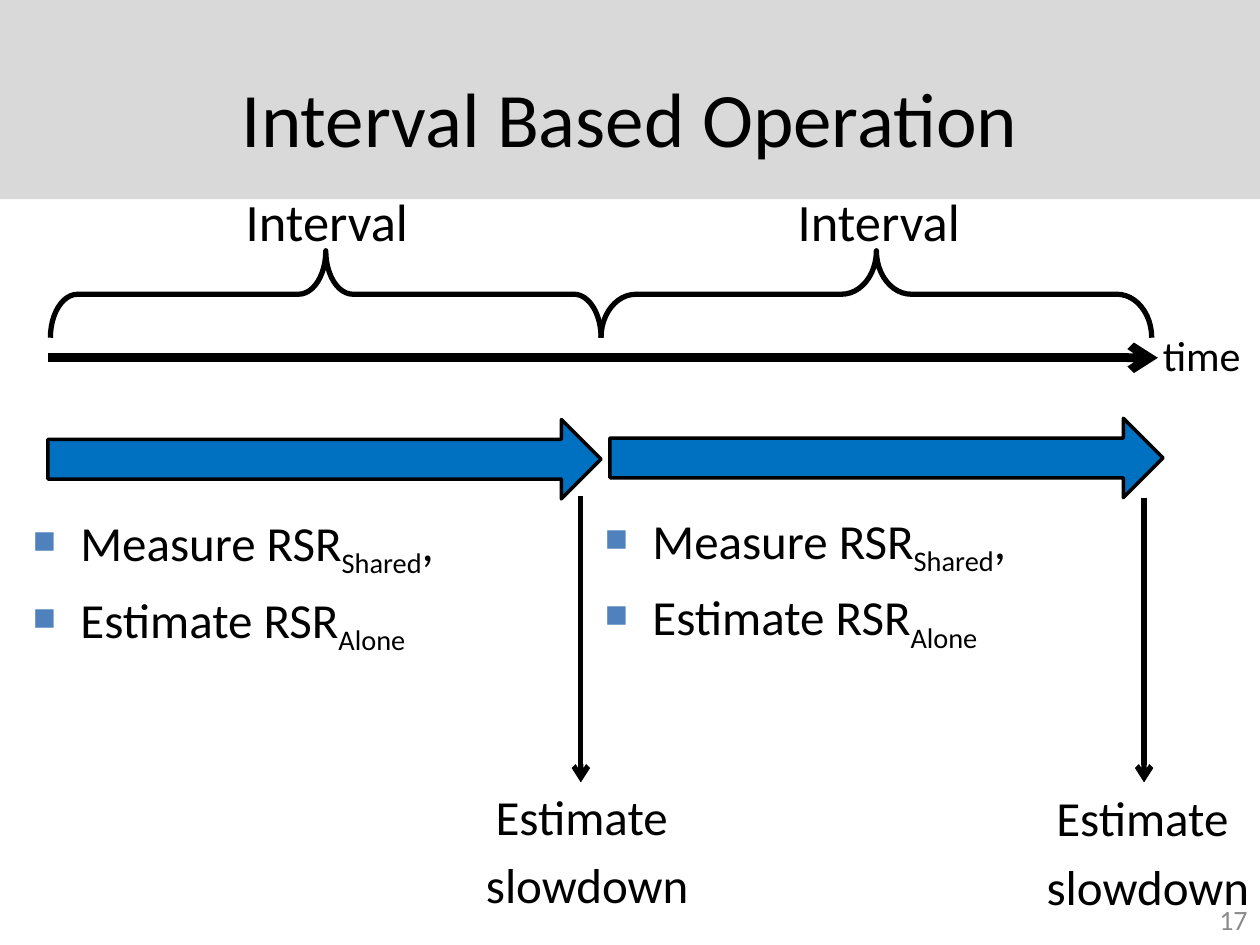
import dataclasses

import pptx
import pptx.dml.color
import pptx.enum.shapes
import pptx.enum.text
import pptx.oxml.ns
import pptx.util
from lxml import etree

Inches = pptx.util.Inches
Pt = pptx.util.Pt
Align = pptx.enum.text.PP_ALIGN
Anchor = pptx.enum.text.MSO_ANCHOR
Shape = pptx.enum.shapes.MSO_SHAPE
qn = pptx.oxml.ns.qn

FONT = "Calibri"
BLACK = "000000"
BODY_SIZE = 28
HANGING = 0.38
Box = tuple[float, float, float, float]
# Each paragraph is a list of (text, is_subscript) runs.
Runs = list[tuple[str, bool]]

MEASUREMENTS: list[Runs] = [
    [("Measure RSR", False), ("Shared", True), (",", False)],
    [("Estimate RSR", False), ("Alone", True)],
]
ESTIMATE: list[Runs] = [[("Estimate ", False)], [("slowdown", False)]]


@dataclasses.dataclass(frozen=True)
class Interval:
    brace_left: float
    brace_curve: float
    label_left: float
    arrow_left: float
    arrow_top: float
    pointer_x: float
    pointer_top: float
    estimate_left: float
    estimate_top: float
    bullets_left: float
    bullets_top: float


INTERVALS = [
    Interval(0.4, 0.312, 0.51, 0.38, 3.33, 4.61, 3.94, 3.52, 6.19, 0.16, 4.02),
    Interval(4.77, 0.401, 4.89, 4.84, 3.32, 9.08, 3.95, 7.97, 6.2, 4.7, 4.0),
]


def color(value: str) -> pptx.dml.color.RGBColor:
    return pptx.dml.color.RGBColor.from_string(value)


def add_bullet(paragraph) -> None:
    properties = paragraph._p.get_or_add_pPr()
    bullet_color = etree.SubElement(properties, qn("a:buClr"))
    etree.SubElement(bullet_color, qn("a:srgbClr"), val="4F81BD")
    etree.SubElement(properties, qn("a:buSzPct"), val="65000")
    etree.SubElement(properties, qn("a:buChar"), char="■")


def write_text(frame, paragraphs: list[Runs], *, size: float, fill: str = BLACK,
               align=Align.LEFT, anchor=Anchor.TOP, hanging: float = 0,
               space_before: float = 0, bullets: bool = False) -> None:
    frame.word_wrap = True
    frame.vertical_anchor = anchor
    for index, runs in enumerate(paragraphs):
        paragraph = frame.add_paragraph() if index else frame.paragraphs[0]
        paragraph.alignment = align
        if hanging:
            properties = paragraph._p.get_or_add_pPr()
            properties.set("marL", str(Inches(hanging)))
            properties.set("indent", str(-Inches(hanging)))
        if bullets:
            add_bullet(paragraph)
        if index and space_before:
            paragraph.space_before = Pt(space_before)
        for text, is_subscript in runs:
            run = paragraph.add_run()
            run.text = text
            run.font.name = FONT
            run.font.size = Pt(size)
            run.font.color.rgb = color(fill)
            if is_subscript:
                run.font._element.set("baseline", "-25000")


def add_text(slide, box: Box, paragraphs: list[Runs], **text_format) -> None:
    shape = slide.shapes.add_textbox(*map(Inches, box))
    write_text(shape.text_frame, paragraphs, **text_format)


def add_preset(slide, preset, box: Box, fill: str | None = None, line_width: float = 0):
    shape = slide.shapes.add_shape(preset, *map(Inches, box))
    shape.shadow.inherit = False
    if fill:
        shape.fill.solid()
        shape.fill.fore_color.rgb = color(fill)
    else:
        shape.fill.background()
    if line_width:
        shape.line.color.rgb = color(BLACK)
        shape.line.width = Pt(line_width)
    else:
        shape.line.fill.background()
    return shape


def add_arrow_line(slide, start: tuple[float, float], end: tuple[float, float],
                   width: float) -> None:
    connector = slide.shapes.add_connector(
        pptx.enum.shapes.MSO_CONNECTOR.STRAIGHT, *map(Inches, (*start, *end)))
    connector.line.color.rgb = color(BLACK)
    connector.line.width = Pt(width)
    etree.SubElement(connector.line._get_or_add_ln(), qn("a:tailEnd"), type="arrow")
    etree.SubElement(connector._element.spPr, qn("a:effectLst"))


def add_brace(slide, left: float, curve: float) -> None:
    """Draw a left brace turned to point up, spanning one interval."""
    span, depth, top = 4.37, 0.69, 1.99
    box = (left + (span - depth) / 2, top - (span - depth) / 2, depth, span)
    brace = add_preset(slide, Shape.LEFT_BRACE, box, line_width=3)
    brace.rotation = 90
    brace.adjustments[0] = curve
    brace.adjustments[1] = 0.5


def add_interval(slide, interval: Interval) -> None:
    add_brace(slide, interval.brace_left, interval.brace_curve)
    add_text(slide, (interval.label_left, 1.45, 4.17, 0.61), [[("Interval", False)]],
             size=30, align=Align.CENTER)
    add_preset(slide, Shape.RIGHT_ARROW,
               (interval.arrow_left, interval.arrow_top, 4.39, 0.63), "0070C0", 2)
    add_arrow_line(slide, (interval.pointer_x, interval.pointer_top),
                   (interval.pointer_x, 6.21), 3)
    body_format = {"size": BODY_SIZE, "hanging": HANGING, "space_before": BODY_SIZE * 0.2}
    add_text(slide, (interval.estimate_left, interval.estimate_top, 2.28, 0.72),
             ESTIMATE, align=Align.CENTER, **body_format)
    add_text(slide, (interval.bullets_left, interval.bullets_top, 4.28, 1.43),
             MEASUREMENTS, bullets=True, **body_format)


def add_title(slide, text: str) -> None:
    title = slide.shapes.title
    title.left, title.top, title.width, title.height = map(Inches, (0.5, 0.3, 9, 1.25))
    write_text(title.text_frame, [[(text, False)]], size=44,
               align=Align.CENTER, anchor=Anchor.MIDDLE)
    band = add_preset(slide, Shape.RECTANGLE, (0, 0, 10, 1.58), "D9D9D9")
    title._element.addprevious(band._element)


def main() -> None:
    presentation = pptx.Presentation()
    presentation.slide_width = Inches(10)
    presentation.slide_height = Inches(7.5)
    slide = presentation.slides.add_slide(presentation.slide_layouts[5])
    add_title(slide, "Interval Based Operation")
    add_arrow_line(slide, (0.38, 2.84), (9.19, 2.84), 5)
    add_text(slide, (9.13, 2.57, 0.99, 0.5), [[("time", False)]], size=24)
    for interval in INTERVALS:
        add_interval(slide, interval)
    add_text(slide, (7.67, 7.1, 2.33, 0.4), [[("17", False)]], size=16,
             fill="8C8C8C", align=Align.RIGHT, anchor=Anchor.MIDDLE)
    presentation.save("out.pptx")


if __name__ == "__main__":
    main()
